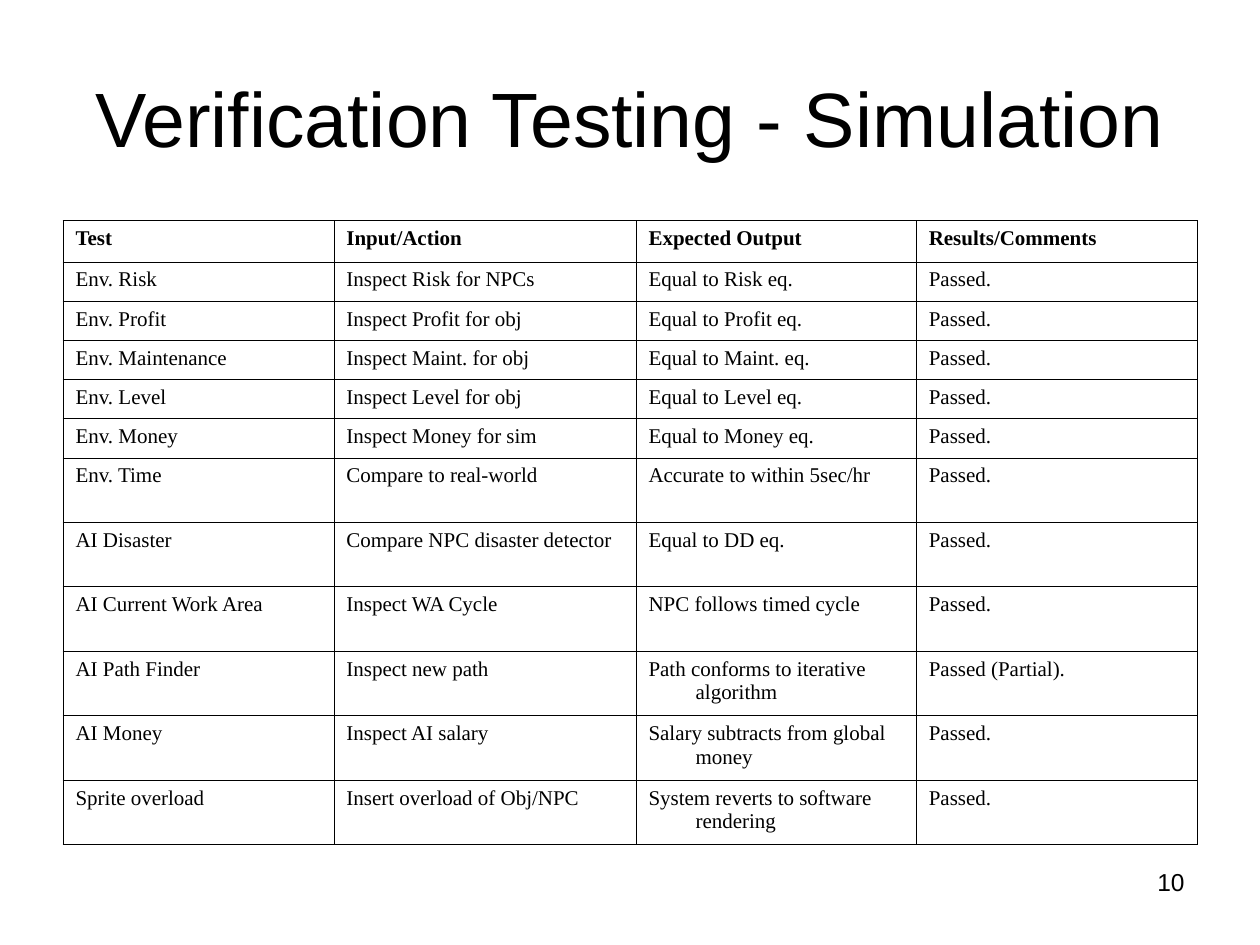
from lxml.etree import SubElement
from pptx import Presentation
from pptx.dml.color import RGBColor
from pptx.enum.text import MSO_ANCHOR as Anchor, PP_ALIGN as Align
from pptx.oxml.ns import qn
from pptx.util import Cm, Pt

INK = "000000"
COLS = [5.46, 6.09, 5.65, 5.66]
ROWS = [0.83] + [0.79] * 5 + [1.3] * 6
TESTS = [
    ("Test", "Input/Action", "Expected Output", "Results/Comments"),
    ("Env. Risk", "Inspect Risk for NPCs", "Equal to Risk eq.", "Passed."),
    ("Env. Profit", "Inspect Profit for obj", "Equal to Profit eq.", "Passed."),
    ("Env. Maintenance", "Inspect Maint. for obj", "Equal to Maint. eq.", "Passed."),
    ("Env. Level", "Inspect Level for obj", "Equal to Level eq.", "Passed."),
    ("Env. Money", "Inspect Money for sim", "Equal to Money eq.", "Passed."),
    ("Env. Time", "Compare to real-world", "Accurate to within 5sec/hr", "Passed."),
    ("AI Disaster", "Compare NPC disaster detector", "Equal to DD eq.", "Passed."),
    ("AI Current Work Area", "Inspect WA Cycle", "NPC follows timed cycle", "Passed."),
    ("AI Path Finder", "Inspect new path", "Path conforms to iterative algorithm",
     "Passed (Partial)."),
    ("AI Money", "Inspect AI salary", "Salary subtracts from global money", "Passed."),
    ("Sprite overload", "Insert overload of Obj/NPC",
     "System reverts to software rendering", "Passed."),
]


def paint(color, code):
    """Set a colour from a hex string."""
    color.rgb = RGBColor.from_string(code)


def write(frame, text, face, size, align, bold=False):
    """Fill a text frame with one formatted paragraph."""
    frame.word_wrap = True
    para = frame.paragraphs[0]
    para.text = text
    para.alignment = align
    font = para.font
    font.name, font.size, font.bold = face, Pt(size), bold
    paint(font.color, INK)
    return para


def add_title(slide, text):
    """Place and format the slide title."""
    title = slide.shapes.title
    title.left, title.top = Cm(1.27), Cm(0.76)
    title.width, title.height = Cm(22.86), Cm(3.18)
    title.text_frame.vertical_anchor = Anchor.MIDDLE
    write(title.text_frame, text, "Arial", 44, Align.CENTER)


def frame_cell(cell):
    """Give a cell thin borders and no fill."""
    props = cell._tc.get_or_add_tcPr()
    for side in ("lnL", "lnR", "lnT", "lnB"):
        line = SubElement(props, qn(f"a:{side}"), w=str(Pt(0.45)))
        fill = SubElement(line, qn("a:solidFill"))
        SubElement(fill, qn("a:srgbClr"), val=INK)
    cell.fill.background()


def fill_cell(cell, text, bold):
    """Write a cell's text with a hanging indent."""
    para = write(cell.text_frame, text, "Times New Roman", 12, Align.LEFT, bold)
    props = para._p.get_or_add_pPr()
    props.set("marL", str(Cm(0.95)))
    props.set("indent", str(-Cm(0.95)))
    frame_cell(cell)


def add_tests(slide):
    """Add the table of test results."""
    table = slide.shapes.add_table(
        len(ROWS), len(COLS), Cm(1.27), Cm(4.45), Cm(sum(COLS)), Cm(sum(ROWS))).table
    table.first_row = table.horz_banding = False
    for col, width in zip(table.columns, COLS):
        col.width = Cm(width)
    for i, (row, height, texts) in enumerate(zip(table.rows, ROWS, TESTS)):
        row.height = Cm(height)
        for cell, text in zip(row.cells, texts):
            fill_cell(cell, text, bold=i == 0)


def add_number(slide, text):
    """Add the page number at the lower right."""
    box = slide.shapes.add_textbox(Cm(18.2), Cm(17.35), Cm(5.93), Cm(1.32))
    write(box.text_frame, text, "Arial", 14, Align.RIGHT)


def main():
    """Build and save the slide."""
    deck = Presentation()
    deck.slide_width, deck.slide_height = Cm(25.4), Cm(19.05)
    slide = deck.slides.add_slide(deck.slide_layouts[5])
    add_title(slide, "Verification Testing - Simulation")
    add_tests(slide)
    add_number(slide, "10")
    deck.save("out.pptx")


if __name__ == "__main__":
    main()
